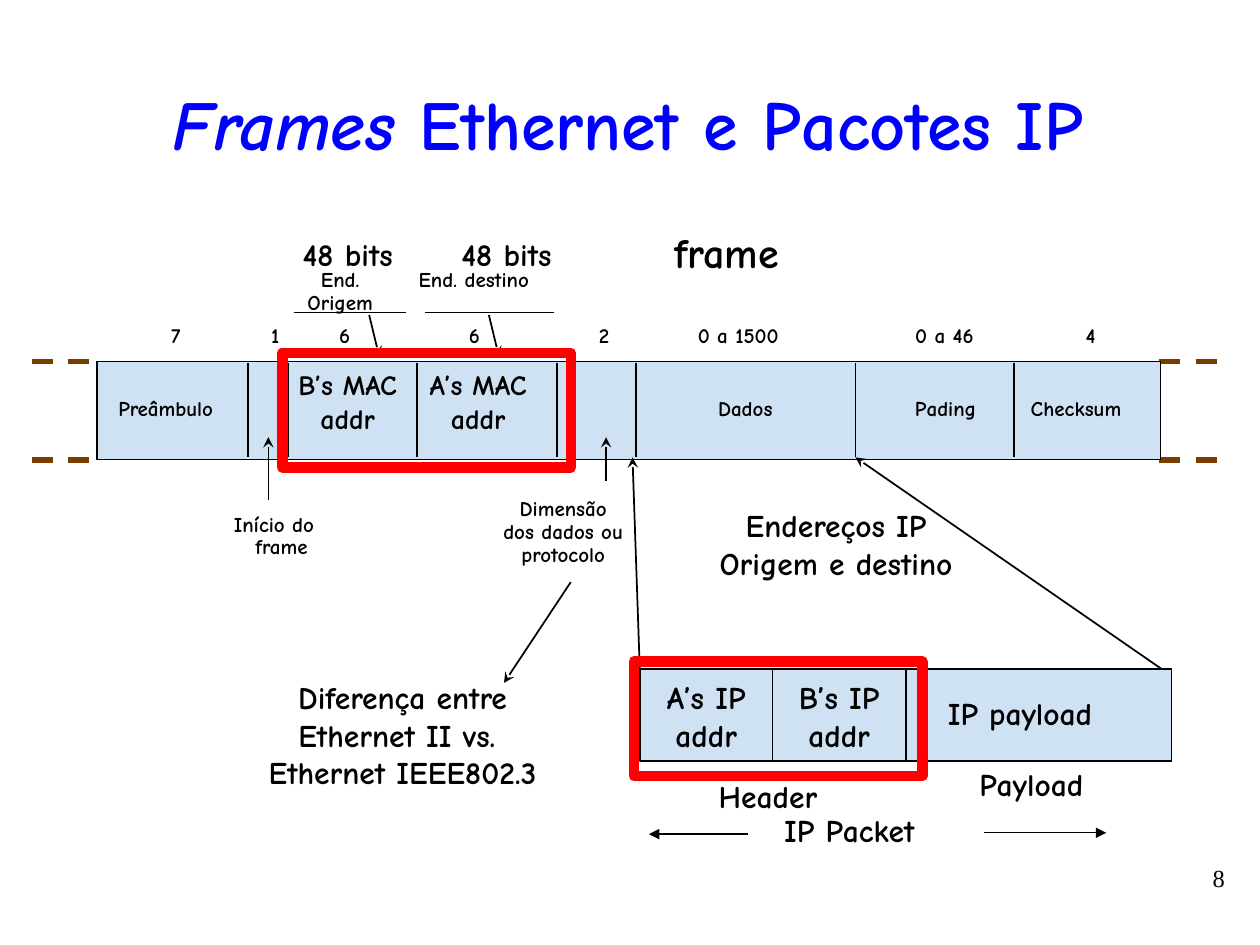
from lxml import etree
from pptx import Presentation
from pptx.dml.color import RGBColor
from pptx.enum import dml, shapes, text
from pptx.oxml import ns
from pptx.util import Inches, Pt

FONT = "Comic Neue"
BLACK, BLUE, RED, BROWN, PALE = "000000", "0000FF", "FF0000", "7A3D00", "CFE2F3"
LEFT, CENTER, RIGHT = text.PP_ALIGN.LEFT, text.PP_ALIGN.CENTER, text.PP_ALIGN.RIGHT

FRAME_LEFT, FRAME_RIGHT = 0.77, 9.21
FRAME_TOP, FRAME_BOTTOM = 2.87, 3.65
PACKET_TOP, PACKET_HEIGHT = 5.31, 0.73


def color(value):
    return RGBColor.from_string(value)


def add_box(slide, left, top, width, height, fill=None, line=BLACK, weight=0.75):
    shape = slide.shapes.add_shape(
        shapes.MSO_SHAPE.RECTANGLE,
        Inches(left), Inches(top), Inches(width), Inches(height))
    shape.shadow.inherit = False
    if fill:
        shape.fill.solid()
        shape.fill.fore_color.rgb = color(fill)
    else:
        shape.fill.background()
    shape.line.color.rgb = color(line)
    shape.line.width = Pt(weight)
    return shape


def add_line(slide, start, end, weight=1, line=BLACK, dashed=False, arrow=None):
    connector = slide.shapes.add_connector(
        shapes.MSO_CONNECTOR.STRAIGHT,
        *(Inches(value) for value in (*start, *end)))
    connector.line.color.rgb = color(line)
    connector.line.width = Pt(weight)
    if dashed:
        connector.line.dash_style = dml.MSO_LINE.DASH
    if arrow:
        outline = connector.line._get_or_add_ln()
        etree.SubElement(outline, ns.qn("a:tailEnd"), type=arrow)
    etree.SubElement(connector._element.spPr, ns.qn("a:effectLst"))
    return connector


def add_text(slide, lines, left, top, width, height, size=18, font=FONT, bold=True,
             fill=BLACK, align=CENTER, spacing=None, wrap=False):
    """Add a text box; each line is a string or a list of (text, italic) runs."""
    box = slide.shapes.add_textbox(
        Inches(left), Inches(top), Inches(width), Inches(height))
    frame = box.text_frame
    frame.word_wrap = wrap
    for index, line in enumerate(lines):
        paragraph = frame.paragraphs[0] if index == 0 else frame.add_paragraph()
        paragraph.alignment = align
        if spacing:
            paragraph.line_spacing = spacing
        paragraph.font.name = font
        paragraph.font.size = Pt(size)
        paragraph.font.bold = bold
        paragraph.font.color.rgb = color(fill)
        for words, italic in [(line, None)] if isinstance(line, str) else line:
            run = paragraph.add_run()
            run.text = words
            run.font.italic = italic
    return box


def add_small_text(slide, lines, left, top, width, height=0.29, **options):
    return add_text(slide, lines, left, top, width, height,
                    size=12, spacing=0.9, **options)


def add_title(slide):
    title = add_text(slide, [[("Frames", True), (" Ethernet e Pacotes IP", False)]],
                     0.25, 0.43, 9.47, 1.08, size=40, fill=BLUE, wrap=True)
    title.text_frame.vertical_anchor = text.MSO_ANCHOR.MIDDLE


def add_ethernet_frame(slide):
    # Dashed continuation of the medium on both sides
    for left in (0.25, 9.2):
        for y in (FRAME_TOP, FRAME_BOTTOM):
            add_line(slide, (left, y), (left + 0.52, y), 3, BROWN, dashed=True)

    # Frame body and field dividers
    add_box(slide, FRAME_LEFT, FRAME_TOP, FRAME_RIGHT - FRAME_LEFT,
            FRAME_BOTTOM - FRAME_TOP, PALE)
    for x in (1.97, 2.29, 3.31, 4.42, 5.05, 6.79, 8.05):
        add_line(slide, (x, 2.88), (x, 3.63))

    # Field names
    for name, left, width in (("Preâmbulo", 0.81, 1.01), ("Dados", 5.57, 0.69),
                              ("Pading", 7.15, 0.71), ("Checksum", 8.05, 0.98)):
        add_small_text(slide, [name], left, 3.11, width)
    for name, left, width in (("B’s MAC", 2.21, 1.1), ("A’s MAC", 3.23, 1.13)):
        add_text(slide, [name, "addr"], left, 2.87, width, 0.64, size=16)

    # Field sizes in bytes
    for size, left, width in (("7", 1.24, 0.31), ("1", 2.03, 0.31), ("6", 2.58, 0.31),
                              ("6", 3.61, 0.31), ("2", 4.64, 0.31),
                              ("0 a 1500", 5.38, 0.96), ("0 a 46", 7.12, 0.75),
                              ("4", 8.5, 0.31)):
        add_small_text(slide, [size], left, 2.53, width)


def add_frame_notes(slide):
    add_text(slide, ["frame"], 5.18, 1.75, 1.17, 0.5, size=24)

    # Address labels: name, its left and width, left of "48 bits", rule, arrow start
    for name, left, width, bits_left, rule_start, rule_end, arrow_x in (
            ("End. Origem", 2.16, 1.08, 2.22, 2.33, 3.22, 2.93),
            ("End. destino", 3.22, 1.08, 3.48, 3.37, 4.4, 3.88)):
        add_text(slide, ["48 bits"], bits_left, 1.82, 1.08, 0.4)
        add_small_text(slide, [name], left, 2.09, width)
        add_line(slide, (rule_start, 2.48), (rule_end, 2.48), 0.75)
        add_line(slide, (arrow_x, 2.5), (arrow_x + 0.08, 2.83), arrow="stealth")

    # Start of frame
    start = add_small_text(slide, ["Início do", "frame"], 1.72, 4.03, 0.91, 0.47)
    indent = start.text_frame.paragraphs[1]._p.get_or_add_pPr()
    indent.set("marL", str(Inches(0.12)))
    add_line(slide, (2.13, 3.97), (2.13, 3.47), arrow="stealth")

    # Length or protocol
    add_small_text(slide, ["Dimensão dos dados ou protocolo"],
                   3.88, 3.91, 1.18, 0.65, wrap=True)
    add_line(slide, (4.81, 3.82), (4.81, 3.47), arrow="stealth")
    add_line(slide, (4.53, 4.62), (4, 5.42), arrow="stealth")
    add_text(slide, ["Diferença entre", "Ethernet II vs. ", "Ethernet IEEE802.3"],
             1.83, 5.33, 2.73, 1.01)


def add_ip_packet(slide):
    # Header and payload
    for left in (5.08, 7.19):
        add_box(slide, left, PACKET_TOP, 2.11, PACKET_HEIGHT, PALE)
    add_line(slide, (6.13, 5.3), (6.13, 6.05))
    for name, left, width in (("A’s IP", 5.13, 0.95), ("B’s IP", 6.2, 0.92)):
        add_text(slide, [name, "addr"], left, 5.33, width, 0.71)
    add_text(slide, ["IP payload"], 7.35, 5.46, 1.49, 0.4)

    # Captions
    add_text(slide, ["Endereços IP", "Origem e destino"], 5.49, 3.97, 2.29, 0.71)
    add_text(slide, ["Header"], 5.55, 6.12, 1.09, 0.4)
    add_text(slide, ["Payload"], 7.63, 6.02, 1.11, 0.4)
    add_text(slide, ["IP Packet"], 6.05, 6.39, 1.38, 0.4)
    add_line(slide, (5.94, 6.62), (5.15, 6.62), 0.75, arrow="triangle")
    add_line(slide, (7.81, 6.61), (8.78, 6.61), 0.75, arrow="triangle")

    # The packet travels in the data field
    add_line(slide, (5.08, 5.38), (5.02, 3.63), arrow="stealth")
    add_line(slide, (9.22, PACKET_TOP), (6.79, 3.63), arrow="stealth")


def main():
    presentation = Presentation()
    presentation.slide_width = Inches(10)
    presentation.slide_height = Inches(7.5)
    slide = presentation.slides.add_slide(presentation.slide_layouts[6])

    add_title(slide)
    add_ethernet_frame(slide)
    add_frame_notes(slide)
    add_ip_packet(slide)

    # Highlights around both address pairs
    for left, top in ((2.24, 2.8), (5.03, 5.25)):
        add_box(slide, left, top, 2.29, 0.91, line=RED, weight=6)

    # Slide number
    add_text(slide, ["8"], 7.49, 6.8, 2.33, 0.52, size=14, font="Times New Roman",
             bold=False, align=RIGHT, wrap=True)

    presentation.save("out.pptx")


if __name__ == "__main__":
    main()
